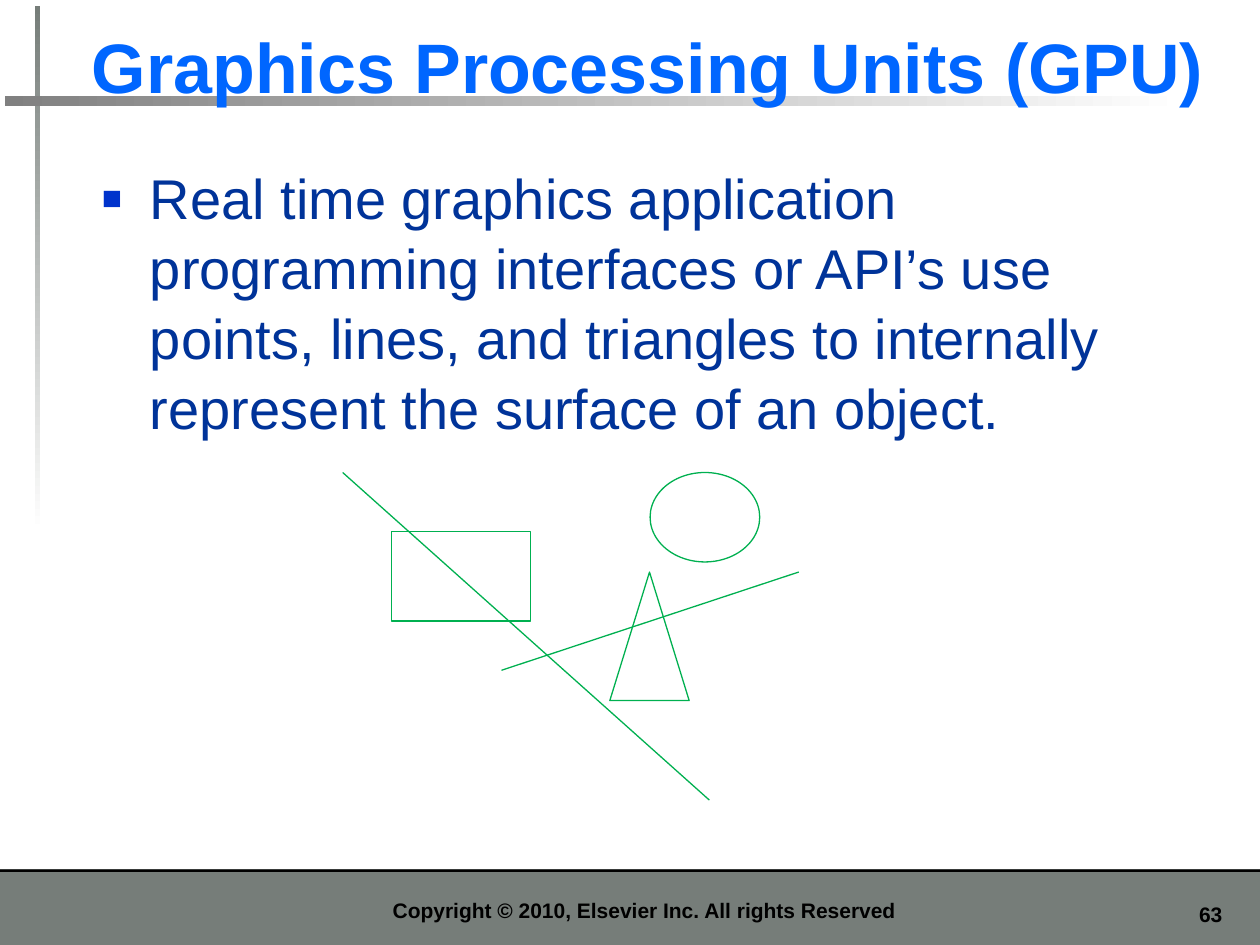
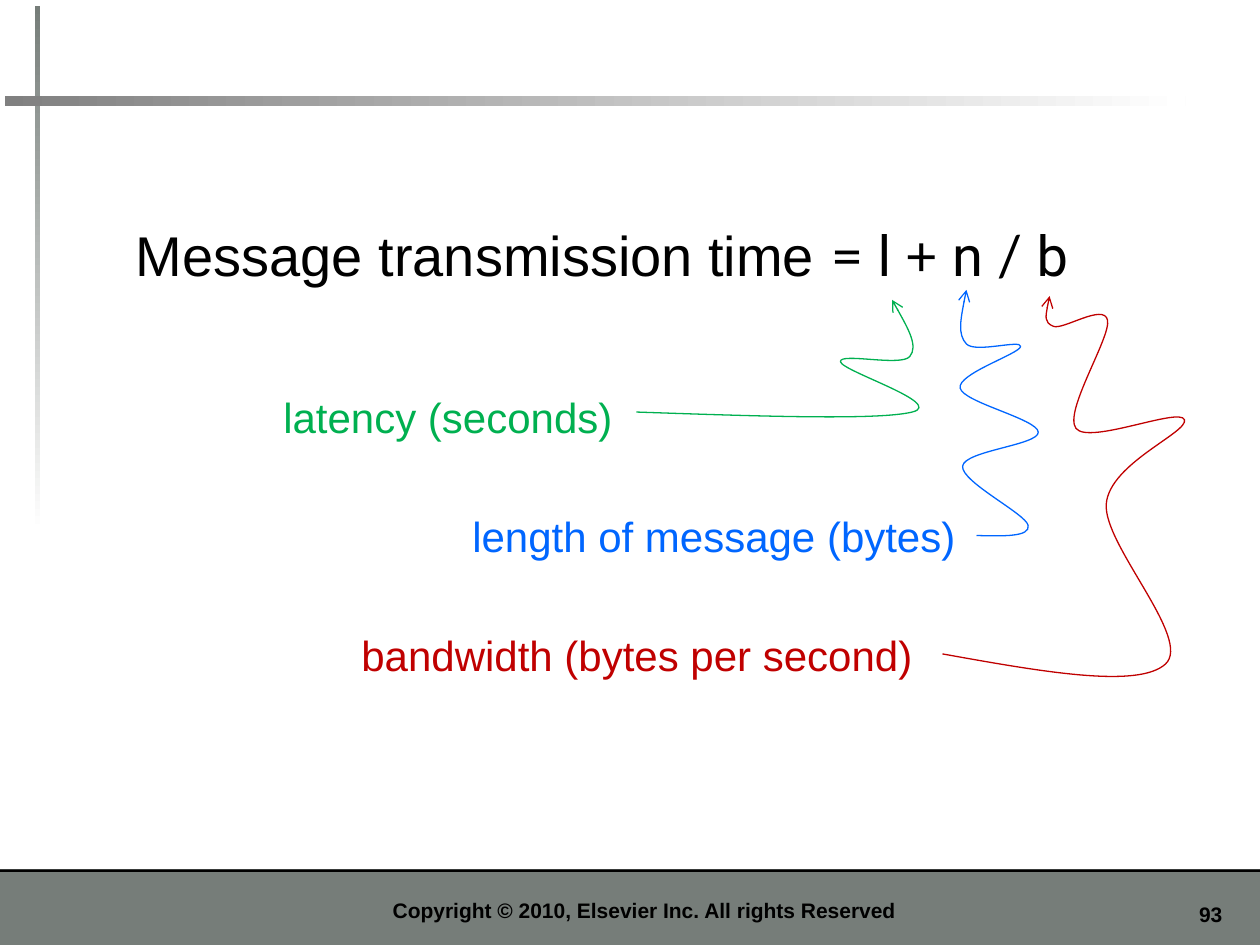
from dataclasses import dataclass

from lxml import etree
from pptx import Presentation
from pptx.dml.color import RGBColor
from pptx.enum.shapes import MSO_CONNECTOR, MSO_SHAPE
from pptx.enum.text import MSO_ANCHOR, PP_ALIGN
from pptx.oxml.ns import qn
from pptx.util import Inches, Pt

RECTANGLE, OVAL = MSO_SHAPE.RECTANGLE, MSO_SHAPE.OVAL
TRIANGLE = MSO_SHAPE.ISOSCELES_TRIANGLE
STRAIGHT = MSO_CONNECTOR.STRAIGHT
TOP, BOTTOM = MSO_ANCHOR.TOP, MSO_ANCHOR.BOTTOM
LEFT, CENTER, RIGHT = PP_ALIGN.LEFT, PP_ALIGN.CENTER, PP_ALIGN.RIGHT

# The slide is a grid of square cells
COLUMNS, ROWS = 100, 75
CELL = Inches(0.1)


@dataclass(frozen=True)
class Theme:
    black: str = "000000"
    white: str = "FFFFFF"
    band: str = "767D79"
    rule: str = "808080"
    blue: str = "0066FF"
    body: str = "003399"
    bullet: str = "0033CC"
    green: str = "00B050"
    red: str = "C00000"
    font: str = "Arial"
    operator_font: str = "Lato"
    symbol_font: str = "Roboto"
    title_size: int = 40
    body_size: int = 32
    label_size: int = 24
    footer_size: int = 12
    line_width: float = 0.75
    leading: float = 1.04


THEME = Theme()


def grid(*values):
    """Turn grid cells into slide lengths."""
    return [round(value * CELL) for value in values]


def rgb(color):
    return RGBColor.from_string(color)


def set_line(line, color):
    line.color.rgb = rgb(color)
    line.width = Pt(THEME.line_width)


# Shapes
def add_block(slide, box, color, fade_angle=None):
    shape = slide.shapes.add_shape(RECTANGLE, *grid(*box))
    shape.shadow.inherit = False
    shape.line.fill.background()
    if fade_angle is None:
        shape.fill.solid()
        shape.fill.fore_color.rgb = rgb(color)
    else:
        shape.fill.gradient()
        shape.fill.gradient_angle = fade_angle
        for stop, shade in zip(shape.fill.gradient_stops, (color, THEME.white)):
            stop.color.rgb = rgb(shade)


def add_outline(slide, kind, box):
    shape = slide.shapes.add_shape(kind, *grid(*box))
    shape.shadow.inherit = False
    shape.fill.background()
    set_line(shape.line, THEME.green)


def add_line(slide, start, end):
    connector = slide.shapes.add_connector(STRAIGHT, *grid(*start, *end))
    set_line(connector.line, THEME.green)
    etree.SubElement(connector._element.spPr, qn("a:effectLst"))


def curve_controls(knots):
    """Yield both control points of each segment of a smooth curve."""
    last = len(knots) - 1

    def handle(index, sign):
        return [knot + sign * (after - before) / 6 for before, knot, after
                in zip(knots[index - 1], knots[index], knots[index + 1])]

    def middle(first, second):
        return [(a + b) / 2 for a, b in zip(first, second)]

    for index in range(last):
        leaving = handle(index, 1) if index > 0 else None
        arriving = handle(index + 1, -1) if index + 1 < last else None
        yield (leaving or middle(knots[index], arriving),
               arriving or middle(leaving, knots[-1]))


def add_curved_arrow(slide, knots, color):
    points = [grid(*knot) for knot in knots]
    builder = slide.shapes.build_freeform(*points[0])
    builder.add_line_segments(points[1:], close=False)
    shape = builder.convert_to_shape()
    shape.shadow.inherit = False
    shape.fill.background()
    set_line(shape.line, color)
    etree.SubElement(shape.line._get_or_add_ln(), qn("a:tailEnd"), type="arrow")

    # Bend each straight segment into a cubic one
    local = [(x - shape.left, y - shape.top) for x, y in points]
    segments = shape._element.xpath(".//a:lnTo")
    for segment, controls in zip(segments, curve_controls(local)):
        segment.tag = qn("a:cubicBezTo")
        for position, (x, y) in enumerate(controls):
            point = etree.Element(qn("a:pt"), x=str(round(x)), y=str(round(y)))
            segment.insert(position, point)


# Text
def add_text(slide, box, runs, size, color, bold=False, align=LEFT,
             anchor=TOP, wrap=True, side_inset=1, leading=None):
    """Add one paragraph; runs holds pairs of text and font."""
    text_box = slide.shapes.add_textbox(*grid(*box))
    frame = text_box.text_frame
    frame.word_wrap = wrap
    frame.vertical_anchor = anchor
    frame.margin_left, frame.margin_right = grid(side_inset, side_inset)
    frame.margin_top, frame.margin_bottom = grid(0.5, 0.5)
    paragraph = frame.paragraphs[0]
    paragraph.alignment = align
    if leading:
        paragraph.line_spacing = leading
    for text, font in runs:
        run = paragraph.add_run()
        run.text = text
        run.font.name = font
        run.font.size = Pt(size)
        run.font.bold = bold
        run.font.color.rgb = rgb(color)
    return paragraph


def add_square_bullet(paragraph):
    properties = paragraph._p.get_or_add_pPr()
    indent = Inches(0.38)
    properties.set("marL", str(indent))
    properties.set("indent", str(-indent))
    bullet_color = etree.SubElement(properties, qn("a:buClr"))
    etree.SubElement(bullet_color, qn("a:srgbClr"), val=THEME.bullet)
    etree.SubElement(properties, qn("a:buSzPct"), val="60000")
    etree.SubElement(properties, qn("a:buFont"), typeface=THEME.font)
    etree.SubElement(properties, qn("a:buChar"), char="■")


def add_title(slide, text):
    add_text(slide, (6.7, 1.3, 90.6, 7.7), [(text, THEME.font)],
             THEME.title_size, THEME.blue, bold=True, anchor=BOTTOM,
             side_inset=0.6)


def add_body(slide, text):
    paragraph = add_text(slide, (7.5, 12.3, 90.4, 55.9), [(text, THEME.font)],
                         THEME.body_size, THEME.body, side_inset=0.6,
                         leading=THEME.leading)
    add_square_bullet(paragraph)


def add_label(slide, box, text, color):
    add_text(slide, box, [(text, THEME.font)], THEME.label_size, color,
             wrap=False, leading=THEME.leading)


# Parts every slide shares
def add_slide(presentation, number):
    slide = presentation.slides.add_slide(presentation.slide_layouts[6])
    footer_top = 69
    add_block(slide, (0, footer_top, COLUMNS, ROWS - footer_top), THEME.band)
    add_block(slide, (0, footer_top, COLUMNS, 0.2), THEME.black)
    add_block(slide, (2.8, 0.5, 0.4, 41.7), THEME.band, fade_angle=270)
    add_block(slide, (0.4, 7.6, 93.7, 0.8), THEME.rule, fade_angle=0)
    add_text(slide, (91.7, 71.1, 6.3, 3), [(str(number), THEME.font)],
             THEME.footer_size, THEME.black, bold=True, align=RIGHT)
    notice = "Copyright © 2010, Elsevier Inc. All rights Reserved"
    add_text(slide, (11.4, 69.8, 79.5, 3.9), [(notice, THEME.font)],
             THEME.footer_size, THEME.black, bold=True, align=CENTER,
             anchor=BOTTOM)
    return slide


def add_gpu_slide(presentation):
    slide = add_slide(presentation, 63)
    add_title(slide, "Graphics Processing Units (GPU)")
    add_body(slide, "Real time graphics application programming interfaces or "
                    "API’s use points, lines, and triangles to internally "
                    "represent the surface of an object.")
    # Sample primitives
    for kind, box in ((TRIANGLE, (48.4, 45.4, 6.3, 10.2)),
                      (RECTANGLE, (31.1, 42.2, 11, 7.1)),
                      (OVAL, (51.6, 37.5, 8.7, 7.1))):
        add_outline(slide, kind, box)
    add_line(slide, (39.8, 53.2), (63.4, 45.4))
    add_line(slide, (27.2, 37.5), (56.3, 63.5))


def add_transmission_slide(presentation):
    slide = add_slide(presentation, 93)
    # Formula
    operator, symbol = THEME.operator_font, THEME.symbol_font
    formula = [("Message transmission time ", THEME.font),
               ("= ", operator), ("l ", symbol), ("+ ", operator),
               ("n ", symbol), ("/ ", operator), ("b", symbol)]
    add_text(slide, (9.8, 17, 79.5, 11.7), formula, THEME.body_size, THEME.black)

    # Each term: label, its box, colour, and the arrow to its symbol
    terms = (
        ("latency (seconds)", (21.5, 30.4, 28.8, 5), THEME.green,
         ((50.5, 32.7), (72.4, 32.7), (66.7, 28.7), (72.2, 28.3),
          (70.8, 23.8))),
        ("length of message (bytes)", (36.5, 39.9, 42.3, 5), THEME.blue,
         ((77.5, 42.5), (81.6, 41.7), (76.4, 37), (82.4, 34.3), (76.2, 30.8),
          (81, 27.5), (76.7, 27.3), (76.7, 23))),
        ("bandwidth (bytes per second)", (27.7, 49.3, 48.3, 5), THEME.red,
         ((74.8, 51.9), (92.5, 52.7), (87.8, 40), (94, 33.3), (85.4, 34),
          (87.9, 25.4), (83.6, 25.9), (83.3, 23.5))),
    )
    for text, box, color, knots in terms:
        add_label(slide, box, text, color)
        add_curved_arrow(slide, knots, color)


def main():
    presentation = Presentation()
    presentation.slide_width, presentation.slide_height = grid(COLUMNS, ROWS)
    add_gpu_slide(presentation)
    add_transmission_slide(presentation)
    presentation.save("out.pptx")


if __name__ == "__main__":
    main()
